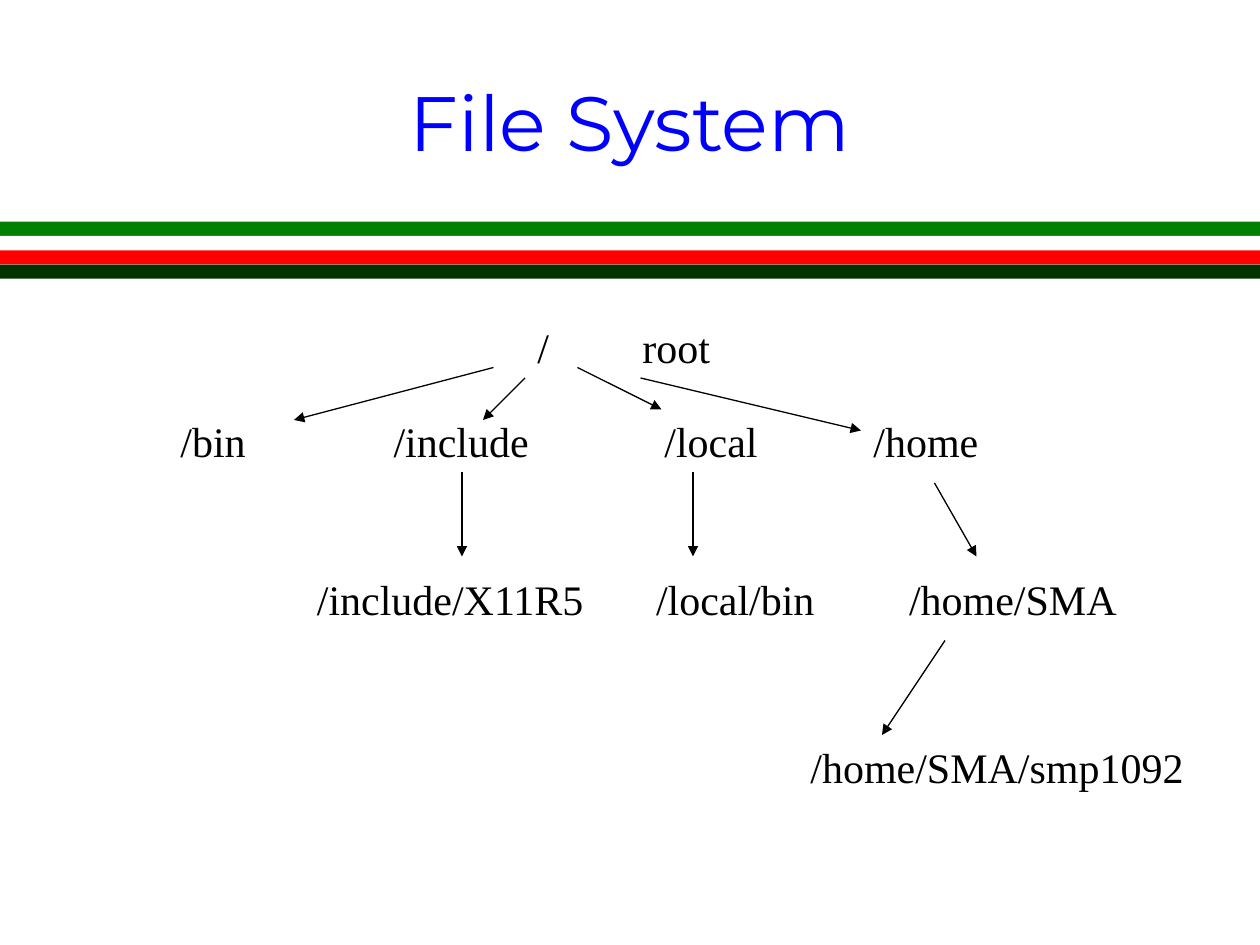
from lxml import etree
from pptx import Presentation
from pptx.dml.color import RGBColor
from pptx.enum.shapes import MSO_CONNECTOR, MSO_SHAPE
from pptx.enum.text import MSO_ANCHOR, PP_ALIGN
from pptx.oxml.ns import qn
from pptx.util import Cm, Pt

GRID = 2.54 / 12  # cm; the tree sits on a grid of twelve steps to the inch

# left, top, width in grid steps; tab stops in grid steps; directory names
LEVELS = [
    (29, 0, 39, [15, 25], ["", "/", "root"]),
    (10, 9, 83, [20.3, 46.1, 66], ["/bin", "/include", "/local", "/home"]),
    (0, 24, 106, [23, 55.3, 79.4],
     ["", "/include/X11R5", "/local/bin", "/home/SMA"]),
    (70, 40, 41, [], ["/home/SMA/smp1092"]),
]
# start and end of each arrow in grid steps
BRANCHES = [
    ((41, 5), (22, 10)),
    ((44, 6), (40, 10)),
    ((49, 5), (57, 9)),
    ((55, 6), (76, 11)),
    ((38, 15), (38, 23)),
    ((60, 15), (60, 23)),
    ((83, 16), (87, 23)),
    ((84, 31), (78, 40)),
]


def color(hex_value):
    return RGBColor.from_string(hex_value)


def add_text(slide, box, text, font, size, hex_value, tabs=()):
    """Add a one-line text box; box and tabs are in cm."""
    frame = slide.shapes.add_textbox(*map(Cm, box)).text_frame
    frame.word_wrap = True
    paragraph = frame.paragraphs[0]
    if tabs:
        tab_list = etree.SubElement(paragraph._p.get_or_add_pPr(), qn("a:tabLst"))
        for stop in tabs:
            etree.SubElement(tab_list, qn("a:tab"), pos=str(Cm(stop)), algn="l")
    run = paragraph.add_run()
    run.text = text
    run.font.name = font
    run.font.size = Pt(size)
    run.font.color.rgb = color(hex_value)
    return frame


def add_title(slide, left, top, width, height):
    frame = add_text(slide, (left, top, width, height), "File System",
                     "Montserrat", 44, "0000FF")
    frame.vertical_anchor = MSO_ANCHOR.MIDDLE
    frame.paragraphs[0].alignment = PP_ALIGN.CENTER


def add_stripes(slide, left, top, width, height):
    stripes = ["008000", "FFFFFF", "FF0000", "003300"]
    thickness = height / len(stripes)
    for index, fill in enumerate(stripes):
        stripe = slide.shapes.add_shape(
            MSO_SHAPE.RECTANGLE, Cm(left), Cm(top + index * thickness),
            Cm(width), Cm(thickness))
        stripe.shadow.inherit = False
        stripe.fill.solid()
        stripe.fill.fore_color.rgb = color(fill)
        stripe.line.fill.background()


def add_arrow(slide, start, end):
    arrow = slide.shapes.add_connector(
        MSO_CONNECTOR.STRAIGHT, *map(Cm, start + end))
    arrow.line.color.rgb = color("000000")
    arrow.line.width = Pt(0.75)
    etree.SubElement(arrow.line._get_or_add_ln(), qn("a:tailEnd"), type="triangle")
    etree.SubElement(arrow._element.spPr, qn("a:effectLst"))


def add_directory_tree(slide, left, top):
    def place(x, y):
        return left + x * GRID, top + y * GRID

    for x, y, width, tabs, names in LEVELS:
        add_text(slide, (*place(x, y), width * GRID, 1.27), "\t".join(names),
                 "Times New Roman", 24, "000000", [stop * GRID for stop in tabs])
    for start, end in BRANCHES:
        add_arrow(slide, place(*start), place(*end))


def main():
    presentation = Presentation()
    presentation.slide_width = Cm(25.4)
    presentation.slide_height = Cm(19.05)
    slide = presentation.slides.add_slide(presentation.slide_layouts[6])
    slide.background.fill.solid()
    slide.background.fill.fore_color.rgb = color("FFFFFF")
    add_stripes(slide, 0, 4.47, 25.4, 1.15)
    add_title(slide, 1.9, 0.85, 21.6, 3.18)
    add_directory_tree(slide, 1.27, 6.35)
    presentation.save("out.pptx")


if __name__ == "__main__":
    main()
